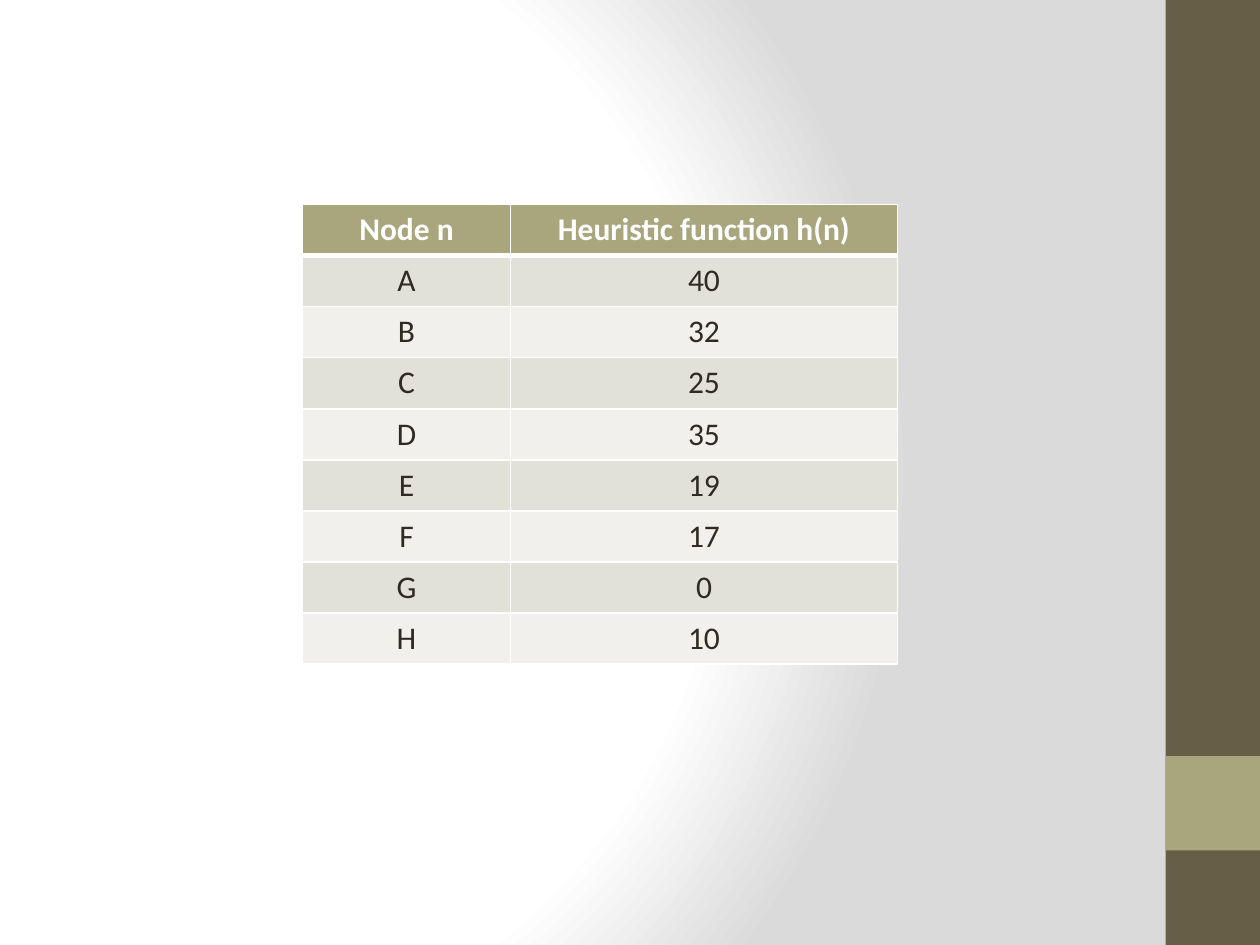
from lxml.etree import SubElement
from pptx import Presentation
from pptx.dml.color import RGBColor
from pptx.enum.shapes import MSO_SHAPE as Shape
from pptx.enum.text import PP_ALIGN as Align
from pptx.oxml import parse_xml
from pptx.oxml.ns import nsdecls, qn
from pptx.util import Pt


def color(value):
    return RGBColor.from_string(value)


def add_border(cell, side, width):
    line = SubElement(cell._tc.get_or_add_tcPr(), qn(f"a:ln{side}"), w=str(Pt(width)))
    fill = SubElement(line, qn("a:solidFill"))
    SubElement(fill, qn("a:srgbClr"), val="FFFFFF")


deck = Presentation()
deck.slide_width, deck.slide_height = Pt(720), Pt(540)
page = deck.slides.add_slide(deck.slide_layouts[6])

page.background.fill.gradient()
gradient = page.element.find(".//" + qn("a:gradFill"))
stops = "".join(
    f'<a:gs pos="{position * 1000}"><a:srgbClr val="{shade}"/></a:gs>'
    for position, shade in [(0, "FFFFFF"), (75, "FFFFFF"), (100, "DADADA")]
)
gradient.getparent().replace(gradient, parse_xml(
    f'<a:gradFill {nsdecls("a")} rotWithShape="1"><a:gsLst>{stops}</a:gsLst>'
    '<a:path path="circle"><a:fillToRect l="20000" t="50000" r="100000" b="50000"/>'
    '</a:path></a:gradFill>'
))

for top, height, shade in [(0, 540, "675E47"), (432, 54, "A9A57C")]:
    band = page.shapes.add_shape(Shape.RECTANGLE, Pt(666), Pt(top), Pt(54), Pt(height))
    band.shadow.inherit = False
    band.fill.solid()
    band.fill.fore_color.rgb = color(shade)
    band.line.fill.background()

rows = [
    ("Node n", "Heuristic function h(n)"),
    ("A", "40"),
    ("B", "32"),
    ("C", "25"),
    ("D", "35"),
    ("E", "19"),
    ("F", "17"),
    ("G", "0"),
    ("H", "10"),
]
widths = [119, 221]
row_height = 29.2
table = page.shapes.add_table(
    len(rows), len(widths), Pt(172.8), Pt(116.8), Pt(sum(widths)), Pt(row_height * len(rows))
).table
for column, width in zip(table.columns, widths):
    column.width = Pt(width)

for row_number, row in enumerate(rows):
    table.rows[row_number].height = Pt(row_height)
    header = row_number == 0
    for column_number, text in enumerate(row):
        cell = table.cell(row_number, column_number)
        add_border(cell, "L", 1)
        add_border(cell, "R", 1)
        add_border(cell, "T", 3 if row_number == 1 else 1)
        add_border(cell, "B", 3 if header else 1)
        cell.fill.solid()
        shade = "A9A57C" if header else ("F1F0EC", "E2E1D7")[row_number % 2]
        cell.fill.fore_color.rgb = color(shade)
        para = cell.text_frame.paragraphs[0]
        para.alignment = Align.CENTER
        span = para.add_run()
        span.text = text
        span.font.name = "Calibri"
        span.font.size = Pt(18)
        span.font.bold = header
        span.font.color.rgb = color("FFFFFF" if header else "2F2B20")

deck.save("out.pptx")
